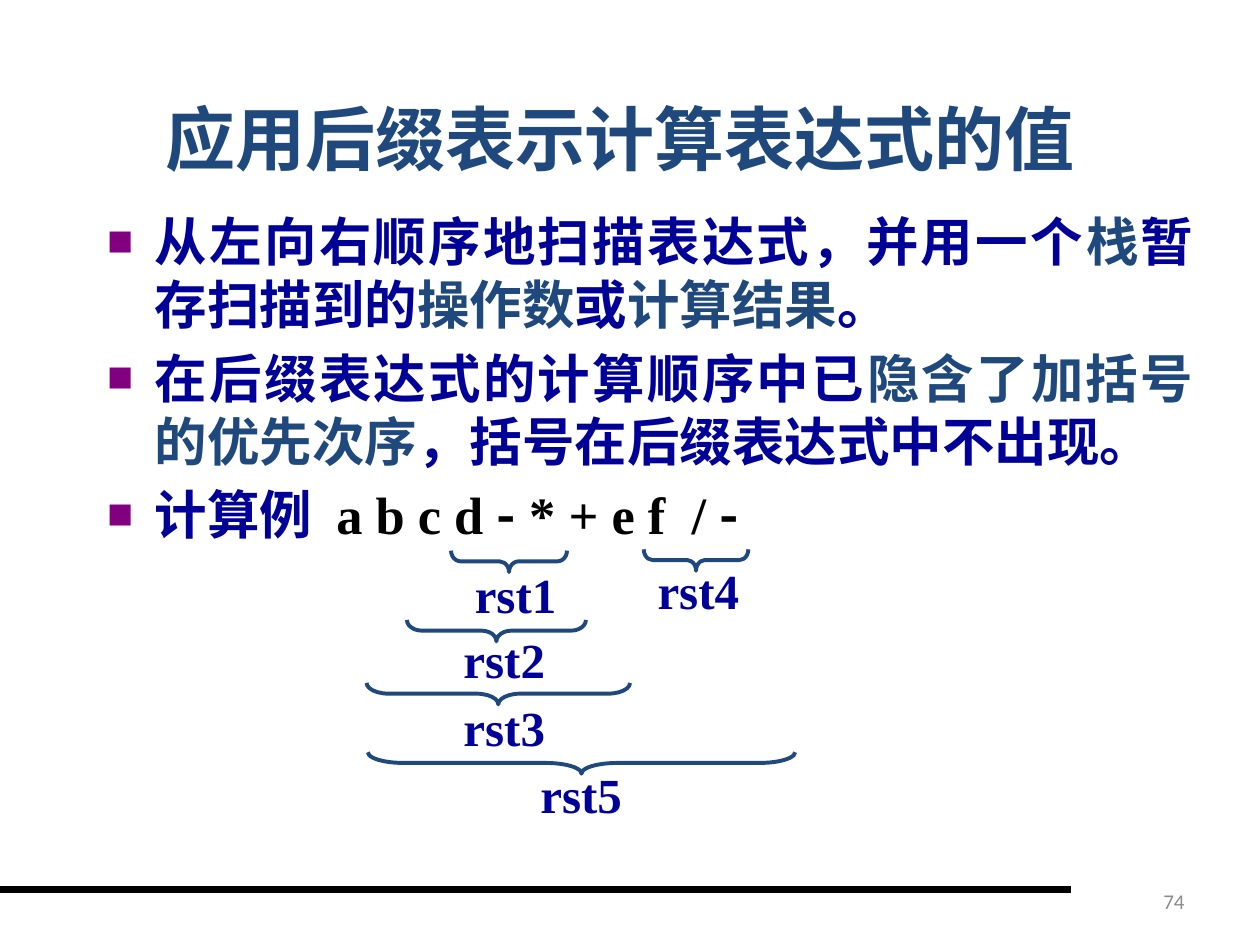
import pptx
import pptx.util
import pptx.dml.color
import pptx.enum.shapes
import pptx.enum.text
import pptx.oxml
import pptx.oxml.ns
from lxml import etree

Inches = pptx.util.Inches
Pt = pptx.util.Pt
RGBColor = pptx.dml.color.RGBColor
ALIGN = pptx.enum.text.PP_ALIGN
ANCHOR = pptx.enum.text.MSO_ANCHOR

NAVY = RGBColor(0x00, 0x00, 0x99)
STEEL = RGBColor(0x1F, 0x49, 0x7D)
BLACK = RGBColor(0, 0, 0)
GRAY = RGBColor(0x8C, 0x8C, 0x8C)
PURPLE = RGBColor(0x80, 0x00, 0x80)

CJK = "Noto Sans CJK SC"
SERIF = "Times New Roman"

BRACE_DEPTH = 0.17

# Each paragraph is a list of (text, colour, font) runs
BULLETS = [
    [("从左向右顺序地扫描表达式，并用一个", NAVY, CJK), ("栈", STEEL, CJK),
     ("暂存扫描到的", NAVY, CJK), ("操作数", STEEL, CJK), ("或", NAVY, CJK),
     ("计算结果", STEEL, CJK), ("。", NAVY, CJK)],
    [("在后缀表达式的计算顺序中已", NAVY, CJK),
     ("隐含了加括号的优先次序", STEEL, CJK),
     ("，括号在后缀表达式中不出现。", NAVY, CJK)],
    [("计算例  ", NAVY, CJK), ("a b c d ", BLACK, SERIF), ("-", BLACK, CJK),
     (" * + e f  / ", BLACK, SERIF), ("-", BLACK, CJK)],
]

# Result name, brace (left, top, length), label (left, top)
RESULTS = [
    ("rst1", (3.58, 4.37, 0.92), (3.67, 4.43)),
    ("rst2", (3.23, 4.92, 1.42), (3.58, 4.95)),
    ("rst3", (2.91, 5.42, 2.09), (3.58, 5.49)),
    ("rst4", (5.11, 4.36, 0.83), (5.12, 4.40)),
    ("rst5", (2.92, 5.97, 3.39), (4.19, 6.02)),
]


def apply_format(target, values):
    for name, value in values.items():
        setattr(target, name, value)


def place(shape, left, top, width, height):
    apply_format(shape, {"left": Inches(left), "top": Inches(top),
                         "width": Inches(width), "height": Inches(height)})


def add_run(paragraph, text, color, font_name, size, bold=True):
    run = paragraph.add_run()
    run.text = text
    apply_format(run.font, {"name": font_name, "size": Pt(size), "bold": bold})
    run.font.color.rgb = color
    east_asian = etree.SubElement(run.font._element, pptx.oxml.ns.qn("a:ea"))
    east_asian.set("typeface", CJK)


def add_bullet(paragraph):
    properties = paragraph._p.get_or_add_pPr()
    properties.set("marL", str(Inches(0.38)))
    properties.set("indent", str(-Inches(0.38)))
    color = etree.SubElement(properties, pptx.oxml.ns.qn("a:buClr"))
    etree.SubElement(color, pptx.oxml.ns.qn("a:srgbClr")).set("val", str(PURPLE))
    for tag, name, value in (("a:buSzPct", "val", "50000"),
                             ("a:buFont", "typeface", CJK),
                             ("a:buChar", "char", "■")):
        etree.SubElement(properties, pptx.oxml.ns.qn(tag)).set(name, value)


def add_label(slide, text, box, color, font_name, size, bold, frame_format, align):
    label = slide.shapes.add_textbox(*(Inches(length) for length in box))
    apply_format(label.text_frame, frame_format)
    paragraph = label.text_frame.paragraphs[0]
    paragraph.alignment = align
    add_run(paragraph, text, color, font_name, size, bold)


def build_title(slide, box):
    title = slide.shapes.title
    place(title, *box)
    apply_format(title.text_frame, {"vertical_anchor": ANCHOR.MIDDLE,
                                    "word_wrap": True,
                                    "auto_size": pptx.enum.text.MSO_AUTO_SIZE.NONE})
    paragraph = title.text_frame.paragraphs[0]
    paragraph.alignment = ALIGN.CENTER
    add_run(paragraph, "应用后缀表示计算表达式的值", STEEL, "Arial", 40)


def build_bullets(slide, box):
    body = slide.placeholders[1]
    place(body, *box)
    frame = body.text_frame
    apply_format(frame, {"vertical_anchor": ANCHOR.TOP, "word_wrap": True,
                         "margin_top": Inches(0.08),
                         "auto_size": pptx.enum.text.MSO_AUTO_SIZE.NONE})
    for index, runs in enumerate(BULLETS):
        paragraph = frame.add_paragraph() if index else frame.paragraphs[0]
        add_bullet(paragraph)
        apply_format(paragraph, {"alignment": ALIGN.JUSTIFY,
                                 "line_spacing": Pt(36),
                                 "space_before": Pt(6 if index else 0)})
        for text, color, font_name in runs:
            add_run(paragraph, text, color, font_name, 30)


def add_brace(slide, left, top, length):
    # The preset is upright, so it is centred on its box and turned to open upward
    brace = slide.shapes.add_shape(
        pptx.enum.shapes.MSO_SHAPE.LEFT_BRACE,
        Inches(left + (length - BRACE_DEPTH) / 2),
        Inches(top - (length - BRACE_DEPTH) / 2),
        Inches(BRACE_DEPTH), Inches(length))
    brace.rotation = 270
    brace.adjustments[0] = length / BRACE_DEPTH / 12
    brace.shadow.inherit = False
    brace.fill.background()
    brace.line.color.rgb = STEEL
    brace.line.width = Pt(2.25)


def build_results(slide):
    for name, brace_box, (left, top) in RESULTS:
        add_brace(slide, *brace_box)
        add_label(slide, name, (left, top, 0.85, 0.57), NAVY, SERIF, 28, True,
                  {"word_wrap": False,
                   "auto_size": pptx.enum.text.MSO_AUTO_SIZE.SHAPE_TO_FIT_TEXT},
                  ALIGN.LEFT)


def build_footer(slide, rule_width, rule_top, number_box):
    rule = slide.shapes.add_connector(
        pptx.enum.shapes.MSO_CONNECTOR.STRAIGHT,
        Inches(0), Inches(rule_top), Inches(rule_width), Inches(rule_top))
    rule.line.color.rgb = BLACK
    rule.line.width = Pt(4.5)
    etree.SubElement(rule._element.spPr, pptx.oxml.ns.qn("a:effectLst"))
    add_label(slide, "74", number_box, GRAY, "Calibri", 12, False,
              {"word_wrap": True, "vertical_anchor": ANCHOR.MIDDLE}, ALIGN.RIGHT)


def main():
    presentation = pptx.Presentation()
    presentation.slide_width = Inches(10)
    presentation.slide_height = Inches(7.5)
    slide = presentation.slides.add_slide(presentation.slide_layouts[1])
    build_footer(slide, 8.5, 7.06, (7.17, 6.95, 2.33, 0.4))
    build_title(slide, (0.67, 0.63, 8.5, 0.92))
    build_bullets(slide, (0.75, 1.58, 8.82, 3.58))
    build_results(slide)
    presentation.save("out.pptx")


if __name__ == "__main__":
    main()
